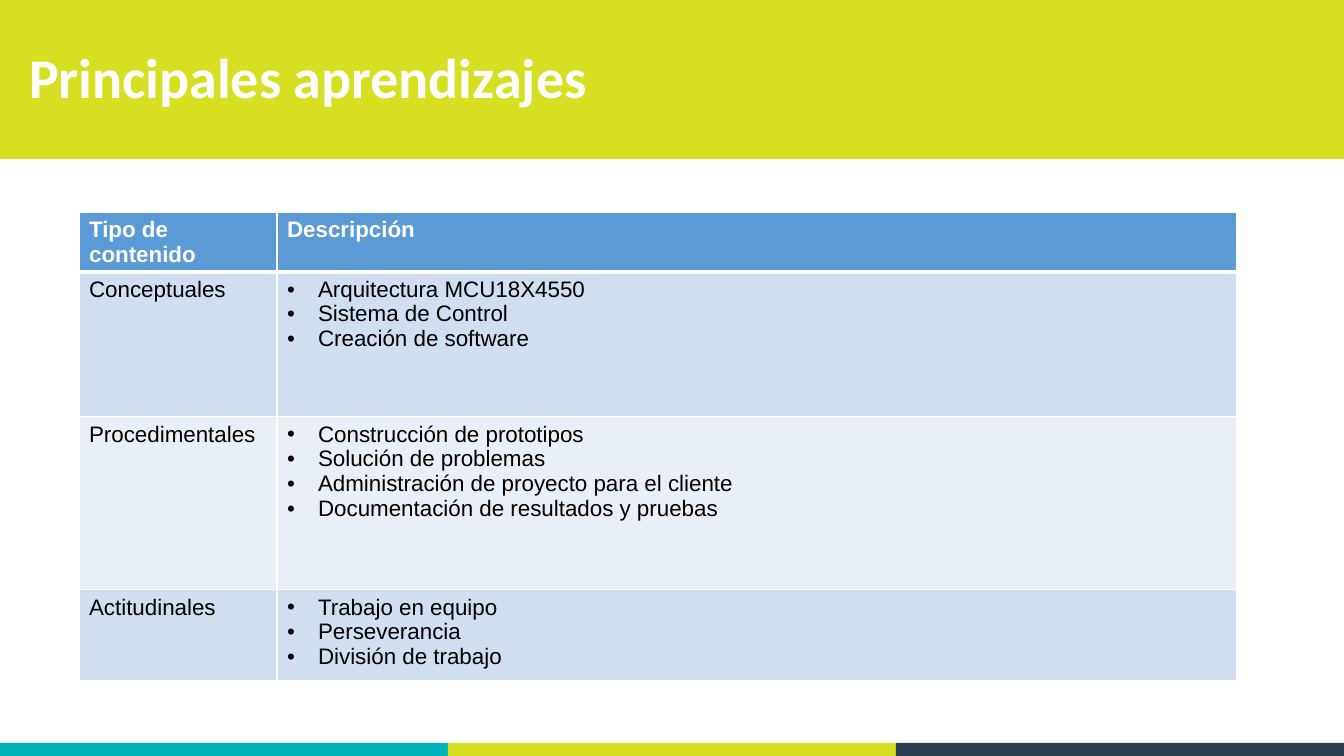
import pptx
import pptx.dml.color
import pptx.enum.shapes
import pptx.enum.text
import pptx.oxml
import pptx.oxml.ns
import pptx.util

EMU_PER_PX = 914400 / 100.8
COLORS = {
    "teal": "00B2BA", "lime": "D7DF23", "navy": "2B3E4F", "white": "FFFFFF",
    "black": "000000", "header": "5B9BD5", "band": "D0DEEF", "light": "E9EFF7",
}
CONTENTS = [
    ("Conceptuales", 145, ["Arquitectura MCU18X4550", "Sistema de Control", "Creación de software"]),
    ("Procedimentales", 173, ["Construcción de prototipos", "Solución de problemas",
                              "Administración de proyecto para el cliente",
                              "Documentación de resultados y pruebas"]),
    ("Actitudinales", 91, ["Trabajo en equipo", "Perseverancia", "División de trabajo"]),
]
ALIGN = pptx.enum.text.PP_ALIGN


def px(length):
    return pptx.util.Emu(round(length * EMU_PER_PX))


def rgb(name):
    return pptx.dml.color.RGBColor.from_string(COLORS[name])


def element(tag, content="", attributes=""):
    return pptx.oxml.parse_xml(
        f'<a:{tag} {pptx.oxml.ns.nsdecls("a")} {attributes}>{content}</a:{tag}>')


def write(frame, text, size=16, font="Arial", color="black", bold=False,
          align=ALIGN.LEFT, spacing=1.0, bullet=False):
    frame.text = text
    for paragraph in frame.paragraphs:
        paragraph.alignment = align
        paragraph.line_spacing = spacing
        style = paragraph.runs[0].font
        style.size, style.name, style.bold = pptx.util.Pt(size), font, bold
        style.color.rgb = rgb(color)
        if bullet:
            properties = paragraph._p.get_or_add_pPr()
            properties.set("marL", str(px(31)))
            properties.set("indent", str(px(-31)))
            properties.append(element("buFont", attributes='typeface="Arial"'))
            properties.append(element("buChar", attributes='char="•"'))


class SlideBuilder:
    """Hold the presentation and its current slide, and add styled elements."""

    def __init__(self):
        self.presentation = pptx.Presentation()
        self.presentation.slide_width = px(1344)
        self.presentation.slide_height = px(756)
        self.slide = self.presentation.slides.add_slide(self.presentation.slide_layouts[5])

    def bar(self, left, top, width, height, color):
        shape = self.slide.shapes.add_shape(
            pptx.enum.shapes.MSO_SHAPE.RECTANGLE, px(left), px(top), px(width), px(height))
        shape.shadow.inherit = False
        shape.fill.solid()
        shape.fill.fore_color.rgb = rgb(color)
        shape.line.fill.background()

    def title(self, text, left, top, width, height):
        title = self.slide.shapes.title
        title.left, title.top, title.width, title.height = map(px, (left, top, width, height))
        frame = title.text_frame
        frame.word_wrap = True
        frame.auto_size = pptx.enum.text.MSO_AUTO_SIZE.NONE
        frame.vertical_anchor = pptx.enum.text.MSO_ANCHOR.MIDDLE
        write(frame, text, size=40, font="Calibri", color="white", bold=True, spacing=0.9)
        self.slide.shapes._spTree.append(title._element)

    def cell(self, cell, text, fill, top=1, bottom=1, **text_format):
        write(cell.text_frame, text, **text_format)
        cell.fill.solid()
        cell.fill.fore_color.rgb = rgb(fill)
        properties = cell._tc.get_or_add_tcPr()
        line_fill = f'<a:solidFill><a:srgbClr val="{COLORS["white"]}"/></a:solidFill>'
        borders = {"lnL": 1, "lnR": 1, "lnT": top, "lnB": bottom}
        for index, (tag, points) in enumerate(borders.items()):
            properties.insert(index, element(tag, line_fill, f'w="{pptx.util.Pt(points)}"'))

    def table(self, left, top, widths, headers, header_height, contents):
        heights = [header_height] + [height for _, height, _ in contents]
        table = self.slide.shapes.add_table(
            len(heights), len(widths), px(left), px(top), px(sum(widths)), px(sum(heights))).table
        for column, width in zip(table.columns, widths):
            column.width = px(width)
        for row, height in zip(table.rows, heights):
            row.height = px(height)
        for index, header in enumerate(headers):
            self.cell(table.cell(0, index), header, "header", bottom=3, color="white", bold=True)
        for index, (kind, _, items) in enumerate(contents, start=1):
            fill = "band" if index % 2 else "light"
            border = 3 if index == 1 else 1
            self.cell(table.cell(index, 0), kind, fill, top=border)
            self.cell(table.cell(index, 1), "\n".join(items), fill, top=border,
                      align=ALIGN.JUSTIFY, bullet=True)


def main():
    builder = SlideBuilder()
    for index, color in enumerate(("teal", "lime", "navy")):
        builder.bar(index * 448, 743, 448, 13, color)
    builder.bar(0, 0, 1344, 159, "lime")
    builder.title("Principales aprendizajes", 19, 7, 1159, 146)
    builder.table(79, 212, (198, 960), ("Tipo de contenido", "Descripción"), 59, CONTENTS)
    builder.presentation.save("out.pptx")


if __name__ == "__main__":
    main()
